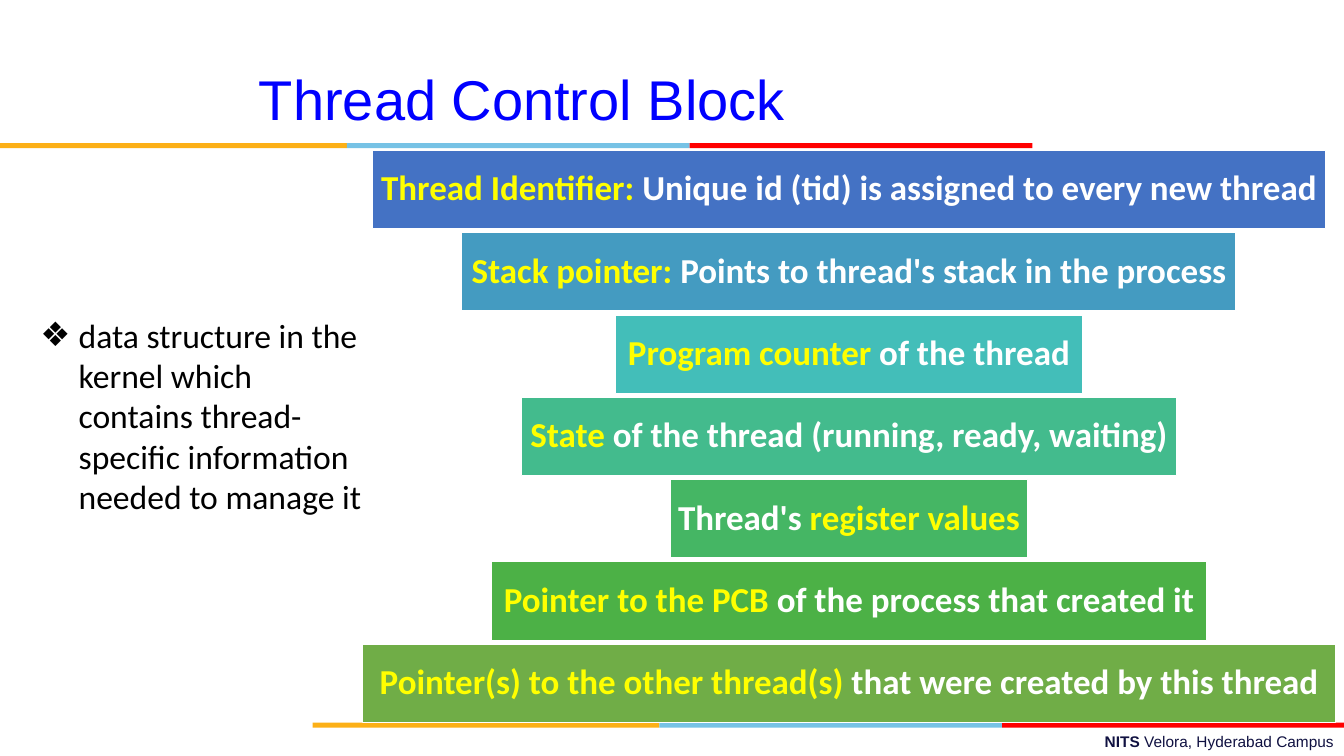
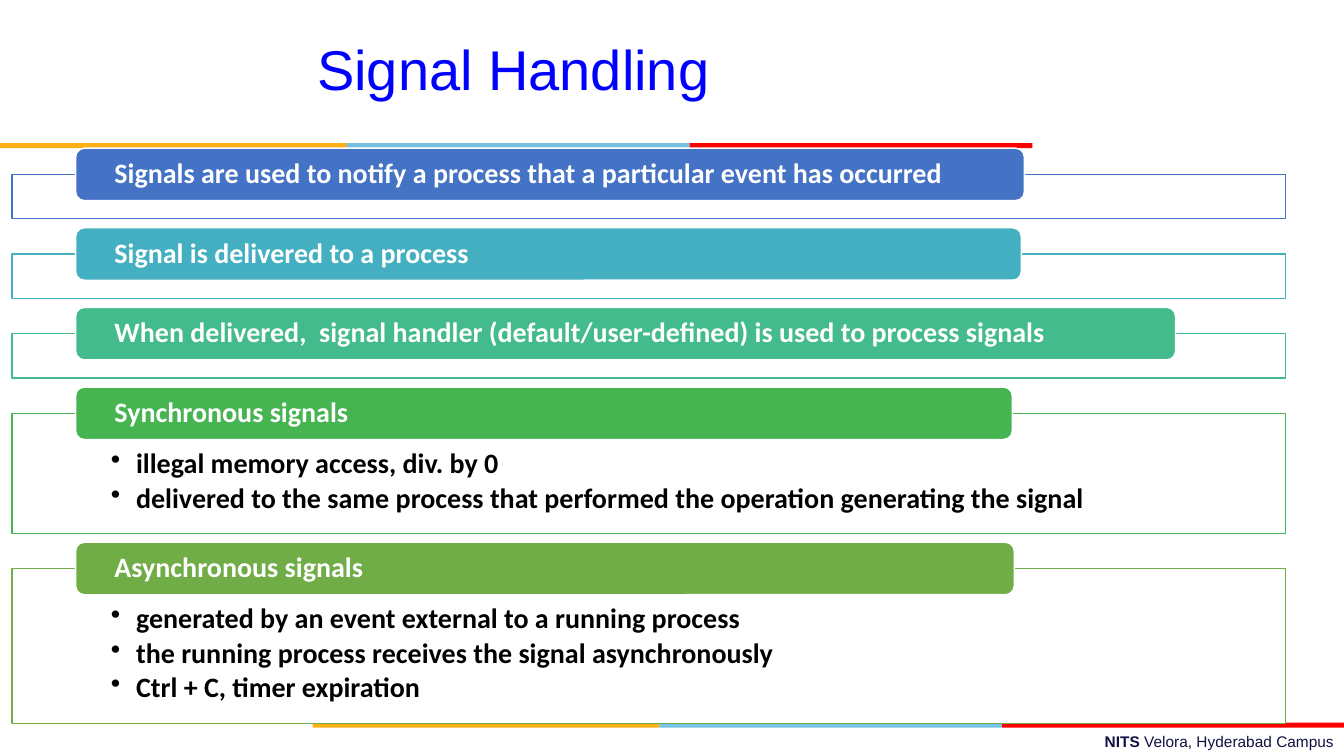
from lxml import etree
from pptx import Presentation, util as u
from pptx.dml.color import RGBColor
from pptx.enum import shapes, text
from pptx.oxml import ns

rgb = RGBColor.from_string
RECT = shapes.MSO_SHAPE.RECTANGLE
ROUNDED = shapes.MSO_SHAPE.ROUNDED_RECTANGLE
BLUE, YELLOW, WHITE, BLACK, NAVY = "0000FF", "FFFF00", "FFFFFF", "000000", "101141"
STRIPES = [("FCB017", 3.44), ("76C2E5", 3.4), ("FF0000", 3.4)]
WIDTH, HEIGHT = 13.33, 7.5


def box(slide, preset, place, fill, line=None, insets=(0.07, 0.07, 0.07, 0.07)):
    """Add a filled shape; place is left, top, width, height in inches."""
    shape = slide.shapes.add_shape(preset, *map(u.Inches, place))
    shape.shadow.inherit = False
    shape.fill.solid()
    shape.fill.fore_color.rgb = rgb(fill)
    if line:
        shape.line.color.rgb = rgb(line)
        shape.line.width = u.Pt(1)
    else:
        shape.line.fill.background()
    frame = shape.text_frame
    frame.word_wrap = True
    frame.margin_left, frame.margin_top, frame.margin_right, frame.margin_bottom = map(u.Inches, insets)
    return shape


def bullet(paragraph, mark, indent):
    """Give a paragraph a hanging bullet."""
    props = paragraph._p.get_or_add_pPr()
    props.set("marL", str(u.Inches(indent)))
    props.set("indent", str(-u.Inches(indent)))
    etree.SubElement(props, ns.qn("a:buChar")).set("char", mark)


deck = Presentation()
deck.slide_width, deck.slide_height = u.Inches(WIDTH), u.Inches(HEIGHT)
control_block = deck.slides.add_slide(deck.slide_layouts[1])
signals = deck.slides.add_slide(deck.slide_layouts[5])

# Bands and campus line, moved to the master that both slides share
shared = []
for left, top in [(0, 1.42), (3.1, 7.17)]:
    for colour, width in STRIPES:
        shared.append(box(control_block, RECT, (left, top, width, 0.05), colour))
        left += width
campus = control_block.shapes.add_textbox(*map(u.Inches, (4.78, 7.21, 8.55, 0.29)))
campus.text_frame.word_wrap = True
campus_line = campus.text_frame.paragraphs[0]
campus_line.alignment = text.PP_ALIGN.RIGHT
campus_line.font.name, campus_line.font.size = "Arial", u.Pt(11)
campus_line.font.color.rgb = rgb(NAVY)
for words, bold in [("NITS ", True), ("Velora, Hyderabad Campus", False)]:
    run = campus_line.add_run()
    run.text, run.font.bold = words, bold
for part in shared + [campus]:
    deck.slide_master.shapes.element.append(part.element)

# Titles
for slide, heading, place in [
    (control_block, "Thread Control Block", (1.18, 0.59, 7.99, 0.77)),
    (signals, "Signal Handling", (0.44, 0.29, 9.3, 0.77)),
]:
    title = slide.shapes.title
    title.left, title.top, title.width, title.height = map(u.Inches, place)
    title.text_frame.text = heading
    title.text_frame.auto_size = text.MSO_AUTO_SIZE.NONE
    title.text_frame.vertical_anchor = text.MSO_ANCHOR.TOP
    line = title.text_frame.paragraphs[0]
    line.alignment = text.PP_ALIGN.CENTER
    line.font.name, line.font.size = "Arial", u.Pt(40)
    line.font.color.rgb = rgb(BLUE)

# Definition beside the funnel
definition = control_block.placeholders[1]
definition.left, definition.top, definition.width, definition.height = map(u.Inches, (0.3, 3.07, 3.41, 2.12))
definition.text_frame.text = (
    "data structure in the kernel which contains thread-specific information needed to manage it"
)
definition.text_frame.auto_size = text.MSO_AUTO_SIZE.NONE
line = definition.text_frame.paragraphs[0]
bullet(line, "❖", 0.38)
line.space_before = u.Pt(0)
line.font.name, line.font.size = "Calibri", u.Pt(24)
line.font.color.rgb = rgb(BLACK)

# Funnel of fields, centred on one axis; each text is a list of (words, colour)
FIELDS = [
    (9.45, "4472C4", [("Thread Identifier: ", YELLOW), ("Unique id (tid) is assigned to every new thread", WHITE)]),
    (7.68, "449BC1", [("Stack pointer: ", YELLOW), ("Points to thread's stack in the process", WHITE)]),
    (4.63, "43BEB9", [("Program counter ", YELLOW), ("of the thread", WHITE)]),
    (6.5, "43BB8D", [("State ", YELLOW), ("of the thread (running, ready, waiting)", WHITE)]),
    (3.54, "45B664", [("Thread's ", WHITE), ("register values", YELLOW)]),
    (7.09, "4CB146", [("Pointer to the PCB ", YELLOW), ("of the process that created it", WHITE)]),
    (9.65, "70AD47", [("Pointer(s) to the other thread(s) ", YELLOW), ("that were created by this thread", WHITE)]),
]
AXIS, FIRST_ROW, LAST_ROW = 8.42, 1.49, 6.39
row_pitch = (LAST_ROW - FIRST_ROW) / (len(FIELDS) - 1)
for row, (width, colour, pieces) in enumerate(FIELDS):
    place = (AXIS - width / 2, FIRST_ROW + row * row_pitch, width, 0.78)
    field = box(control_block, RECT, place, colour, WHITE)
    field.text_frame.vertical_anchor = text.MSO_ANCHOR.MIDDLE
    line = field.text_frame.paragraphs[0]
    line.alignment, line.line_spacing = text.PP_ALIGN.CENTER, 0.9
    line.font.name, line.font.size, line.font.bold = "Calibri", u.Pt(25), True
    for words, ink in pieces:
        run = line.add_run()
        run.text, run.font.color.rgb = words, rgb(ink)

# Signal topics: header width, panel height, colour, header, details
TOPICS = [
    (9.41, 0.44, "4472C4", "Signals are used to notify a process that a particular event has occurred", []),
    (9.38, 0.44, "43AFC0", "Signal is delivered to a process", []),
    (10.91, 0.44, "43BB8D",
     "When delivered,  signal handler (default/user-defined) is used to process signals", []),
    (9.29, 1.19, "45B451", "Synchronous signals", [
        "illegal memory access, div. by 0",
        "delivered to the same process that performed the operation generating the signal"]),
    (9.31, 1.54, "70AD47", "Asynchronous signals", [
        "generated by an event external to a running process",
        "the running process receives the signal asynchronously",
        "Ctrl + C, timer expiration"]),
]
panel_top, panel_gap = 1.73, 0.35
for width, height, colour, heading, details in TOPICS:
    panel = box(signals, RECT, (0.12, panel_top, 12.63, height), WHITE, colour, (0.98, 0.36, 0.98, 0.16))
    tint = panel.element.spPr.find(ns.qn("a:solidFill")).find(ns.qn("a:srgbClr"))
    etree.SubElement(tint, ns.qn("a:alpha")).set("val", "90000")
    header = box(signals, ROUNDED, (0.75, panel_top - 0.26, width, 0.52), colour, WHITE, (0.36, 0, 0.36, 0))
    header.text_frame.vertical_anchor = text.MSO_ANCHOR.MIDDLE
    header.text_frame.text = heading
    lines = [(header.text_frame.paragraphs[0], WHITE)]
    if details:
        panel.text_frame.vertical_anchor = text.MSO_ANCHOR.TOP
        panel.text_frame.text = "\n".join(details)
        for line in panel.text_frame.paragraphs:
            bullet(line, "•", 0.25)
            line.space_after = u.Pt(3)
            lines.append((line, BLACK))
    for line, ink in lines:
        line.alignment, line.line_spacing = text.PP_ALIGN.LEFT, 0.9
        line.font.name, line.font.size, line.font.bold = "Calibri", u.Pt(20), True
        line.font.color.rgb = rgb(ink)
    panel_top += height + panel_gap

deck.save("out.pptx")
